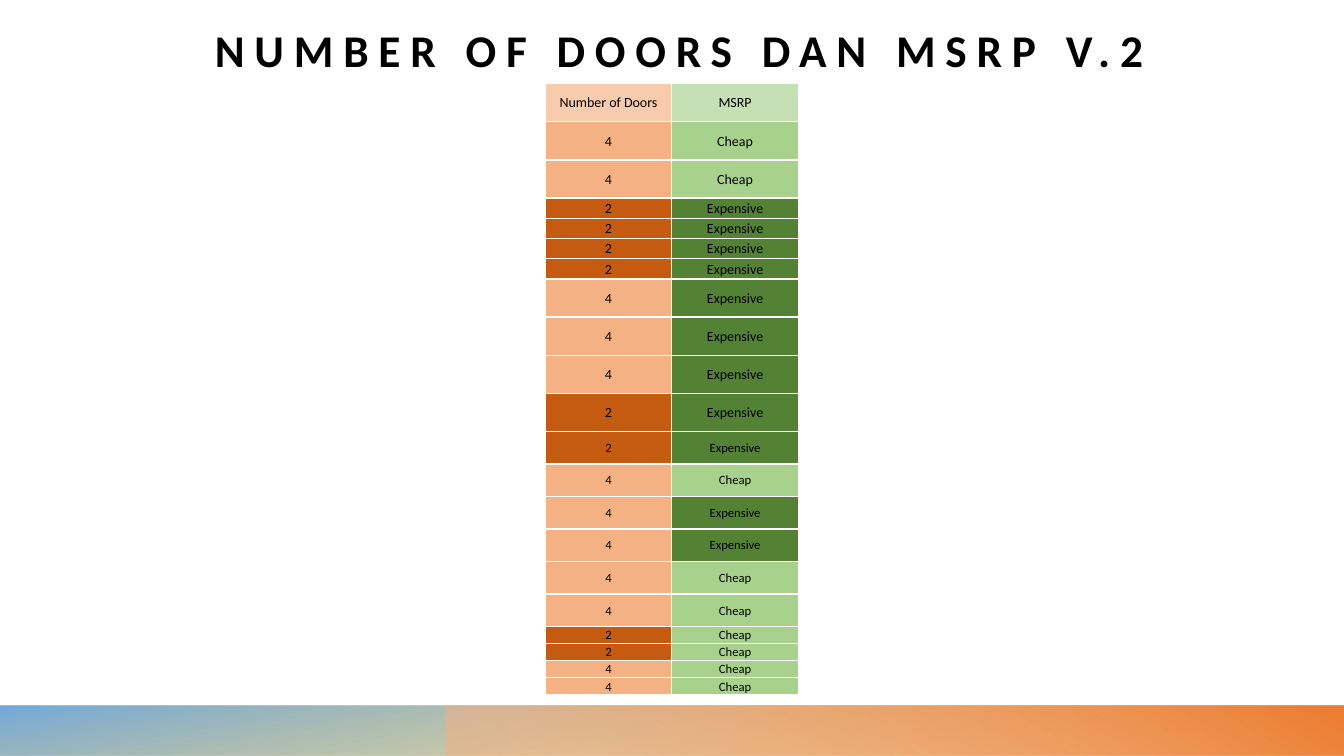
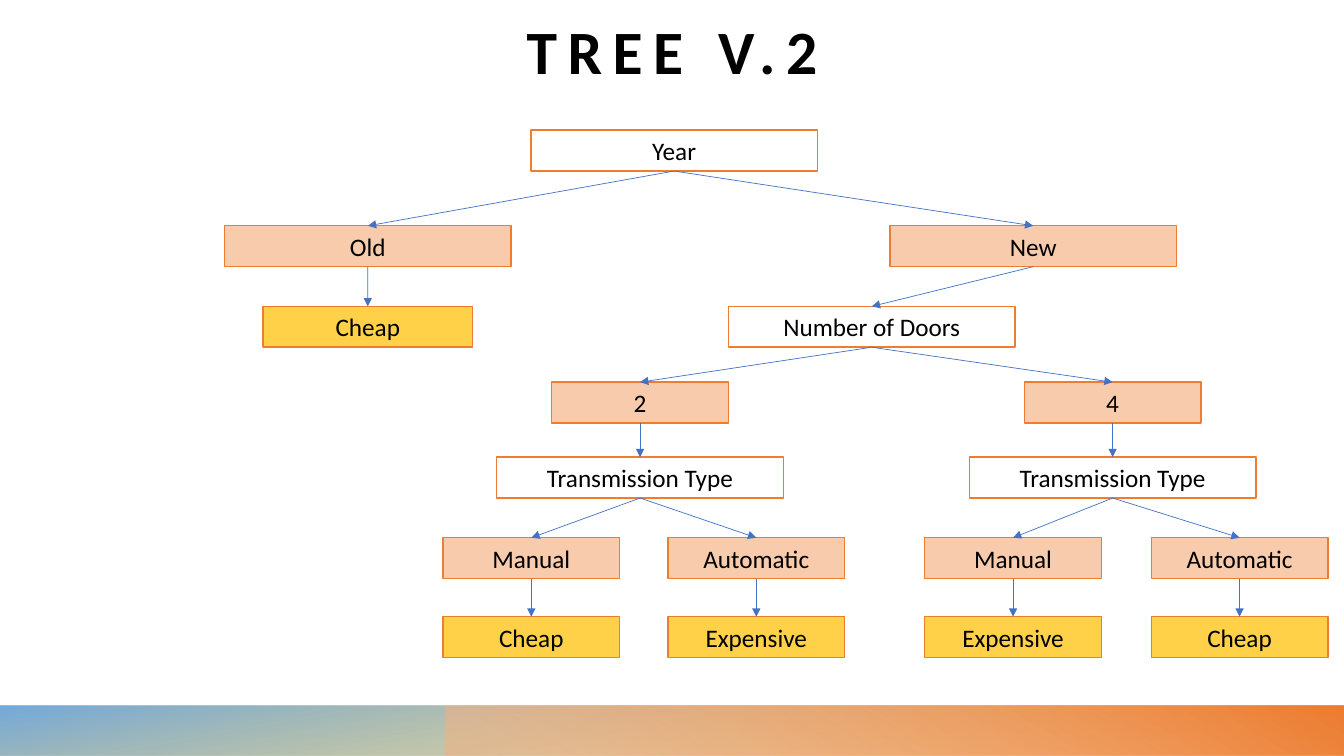
import dataclasses
import enum

import lxml.etree
import pptx
import pptx.dml.color
import pptx.enum.shapes
import pptx.enum.text
import pptx.oxml.ns
import pptx.util

Cm = pptx.util.Cm
Pt = pptx.util.Pt
RGBColor = pptx.dml.color.RGBColor
Anchor = pptx.enum.text.MSO_ANCHOR
qn = pptx.oxml.ns.qn

BLACK = RGBColor(0x00, 0x00, 0x00)
WHITE = RGBColor(0xFF, 0xFF, 0xFF)
ORANGE = RGBColor(0xED, 0x7D, 0x31)
ORANGE_PALE = RGBColor(0xF8, 0xCB, 0xAD)
ORANGE_LIGHT = RGBColor(0xF4, 0xB1, 0x83)
ORANGE_DARK = RGBColor(0xC5, 0x5A, 0x11)
GREEN_PALE = RGBColor(0xC5, 0xE0, 0xB4)
GREEN_LIGHT = RGBColor(0xA9, 0xD1, 0x8E)
GREEN_DARK = RGBColor(0x54, 0x82, 0x35)
YELLOW = RGBColor(0xFF, 0xD1, 0x49)
GOLD = RGBColor(0xCF, 0x9B, 0x00)
BLUE_LIGHT = RGBColor(0x5B, 0x9B, 0xD5)
BLUE = RGBColor(0x44, 0x72, 0xC4)

FONT = "Calibri"
SLIDE_WIDTH, SLIDE_HEIGHT = 33.87, 19.05
BAND_HEIGHT = 1.27


@dataclasses.dataclass(frozen=True)
class Stop:
    position: int
    color: RGBColor
    opacity: int


@dataclasses.dataclass(frozen=True)
class Band:
    left: float
    angle: int
    stops: tuple[Stop, ...]


@dataclasses.dataclass(frozen=True)
class Title:
    text: str
    left: float
    top: float
    width: float
    height: float
    size: float
    spacing: float
    anchor: Anchor


@dataclasses.dataclass(frozen=True)
class Row:
    doors: str
    price: str
    height: float


class Kind(enum.Enum):
    ATTRIBUTE = "attribute"
    VALUE = "value"
    OUTCOME = "outcome"


@dataclasses.dataclass(frozen=True)
class Node:
    text: str
    kind: Kind
    center: float
    width: float
    children: tuple["Node", ...] = ()


BANDS = (
    Band(0, 260, (Stop(14, GOLD, 28), Stop(100, BLUE_LIGHT, 85))),
    Band(11.22, 300, (Stop(9, ORANGE_LIGHT, 55), Stop(99, ORANGE, 100))),
)

TABLE_LEFT, TABLE_TOP, COLUMN_WIDTH = 13.74, 2.11, 3.19
CELL_FILLS = {
    "Number of Doors": ORANGE_PALE,
    "MSRP": GREEN_PALE,
    "4": ORANGE_LIGHT,
    "2": ORANGE_DARK,
    "Cheap": GREEN_LIGHT,
    "Expensive": GREEN_DARK,
}
UPPER_ROWS = [
    Row("Number of Doors", "MSRP", 0.96),
    *[Row("4", "Cheap", 0.96)] * 2,
    *[Row("2", "Expensive", 0.51)] * 4,
    *[Row("4", "Expensive", 0.96)] * 3,
    Row("2", "Expensive", 0.96),
]
LOWER_ROWS = [
    Row("2", "Expensive", 0.82),
    Row("4", "Cheap", 0.82),
    *[Row("4", "Expensive", 0.82)] * 2,
    *[Row("4", "Cheap", 0.82)] * 2,
    *[Row("2", "Cheap", 0.43)] * 2,
    *[Row("4", "Cheap", 0.43)] * 2,
]

WIDE, MEDIUM, NARROW = 7.22, 5.28, 4.45
NODE_HEIGHT = 1.03
LEVEL_TOPS = (3.28, 5.69, 7.72, 9.63, 11.52, 13.55, 15.54)
NODE_FILLS = {Kind.ATTRIBUTE: WHITE, Kind.VALUE: ORANGE_PALE, Kind.OUTCOME: YELLOW}


def door_branch(doors: str, center: float, manual: tuple[str, float],
                automatic: tuple[str, float]) -> Node:
    transmissions = tuple(
        Node(name, Kind.VALUE, middle, NARROW,
             (Node(outcome, Kind.OUTCOME, middle, NARROW),))
        for name, (outcome, middle) in (("Manual", manual), ("Automatic", automatic))
    )
    question = Node("Transmission Type", Kind.ATTRIBUTE, center, WIDE, transmissions)
    return Node(doors, Kind.VALUE, center, NARROW, (question,))


DOORS = Node("Number of Doors", Kind.ATTRIBUTE, 21.97, WIDE, (
    door_branch("2", 16.13, ("Cheap", 13.39), ("Expensive", 19.06)),
    door_branch("4", 28.04, ("Expensive", 25.53), ("Cheap", 31.24)),
))
TREE = Node("Year", Kind.ATTRIBUTE, 16.99, WIDE, (
    Node("Old", Kind.VALUE, 9.27, WIDE, (Node("Cheap", Kind.OUTCOME, 9.27, MEDIUM),)),
    Node("New", Kind.VALUE, 26.04, WIDE, (DOORS,)),
))


def style_paragraph(para, size: float, bold: bool = False) -> None:
    para.alignment = pptx.enum.text.PP_ALIGN.CENTER
    para.font.name = FONT
    para.font.size = Pt(size)
    para.font.bold = bold
    para.font.color.rgb = BLACK


def add_rectangle(page, left: float, top: float, width: float, height: float):
    box = page.shapes.add_shape(pptx.enum.shapes.MSO_SHAPE.RECTANGLE,
                                Cm(left), Cm(top), Cm(width), Cm(height))
    box.shadow.inherit = False
    return box


def add_band(page, band: Band):
    box = add_rectangle(page, band.left, SLIDE_HEIGHT - BAND_HEIGHT,
                        SLIDE_WIDTH - band.left, BAND_HEIGHT)
    box.line.fill.background()
    box.fill.gradient()
    gradient = box.element.spPr.find(qn("a:gradFill"))
    stop_list = gradient.find(qn("a:gsLst"))
    for old_stop in list(stop_list):
        stop_list.remove(old_stop)
    for stop in band.stops:
        entry = lxml.etree.SubElement(stop_list, qn("a:gs"), pos=str(stop.position * 1000))
        color = lxml.etree.SubElement(entry, qn("a:srgbClr"), val=str(stop.color))
        lxml.etree.SubElement(color, qn("a:alpha"), val=str(stop.opacity * 1000))
    direction = gradient.find(qn("a:lin"))
    direction.set("ang", str(band.angle * 60000))
    direction.set("scaled", "0")
    return box


def add_bands_to_master(deck, page) -> None:
    master_tree = deck.slide_master.shapes.element
    for index, band in enumerate(BANDS):
        master_tree.insert(2 + index, add_band(page, band).element)


def add_page(deck, title: Title):
    page = deck.slides.add_slide(deck.slide_layouts.get_by_name("Title Only"))
    box = page.shapes.title
    box.left, box.top = Cm(title.left), Cm(title.top)
    box.width, box.height = Cm(title.width), Cm(title.height)
    frame = box.text_frame
    frame.text = title.text
    frame.word_wrap = True
    frame.auto_size = pptx.enum.text.MSO_AUTO_SIZE.NONE
    frame.vertical_anchor = title.anchor
    frame.margin_left = frame.margin_right = frame.margin_top = frame.margin_bottom = 0
    style_paragraph(frame.paragraphs[0], title.size, bold=True)
    for properties in box.element.iter(qn("a:defRPr")):
        properties.set("spc", str(round(title.spacing * 100)))
    return page


def style_cell(cell, text: str, size: float) -> None:
    cell.text = text
    cell.vertical_anchor = Anchor.MIDDLE
    cell.margin_left = cell.margin_right = cell.margin_top = Cm(0.02)
    cell.margin_bottom = 0
    style_paragraph(cell.text_frame.paragraphs[0], size)
    properties = cell.fill and cell.text_frame.paragraphs[0] and cell.text_frame
    properties = properties.element if hasattr(properties, "element") else None
    cell.fill.solid()
    cell.fill.fore_color.rgb = CELL_FILLS[text]


def add_cell_borders(frame) -> None:
    for properties in frame.element.iter(qn("a:tcPr")):
        for index, side in enumerate(("a:lnL", "a:lnR", "a:lnT", "a:lnB")):
            border = lxml.etree.Element(qn(side), w=str(Pt(1)))
            fill = lxml.etree.SubElement(border, qn("a:solidFill"))
            lxml.etree.SubElement(fill, qn("a:srgbClr"), val=str(WHITE))
            properties.insert(index, border)


def add_price_table(page, rows: list[Row], top: float, size: float) -> float:
    height = sum(row.height for row in rows)
    frame = page.shapes.add_table(len(rows), 2, Cm(TABLE_LEFT), Cm(top),
                                  Cm(2 * COLUMN_WIDTH), Cm(height))
    table = frame.table
    table.first_row = table.horz_banding = False
    for column in table.columns:
        column.width = Cm(COLUMN_WIDTH)
    for index, row in enumerate(rows):
        table.rows[index].height = Cm(row.height)
        for cell, text in zip(table.rows[index].cells, (row.doors, row.price)):
            style_cell(cell, text, size)
    add_cell_borders(frame)
    return top + height


def add_arrow(page, parent, child) -> None:
    arrow = page.shapes.add_connector(pptx.enum.shapes.MSO_CONNECTOR.STRAIGHT, 0, 0, 0, 0)
    arrow.begin_connect(parent, 2)
    arrow.end_connect(child, 0)
    arrow.line.color.rgb = BLUE
    arrow.line.width = Pt(0.5)
    lxml.etree.SubElement(arrow.line.fill and arrow.element.spPr.find(qn("a:ln")),
                          qn("a:tailEnd"), type="triangle")
    lxml.etree.SubElement(arrow.element.spPr, qn("a:effectLst"))


def add_node(page, node: Node, level: int = 0):
    box = add_rectangle(page, node.center - node.width / 2, LEVEL_TOPS[level],
                        node.width, NODE_HEIGHT)
    box.fill.solid()
    box.fill.fore_color.rgb = NODE_FILLS[node.kind]
    box.line.color.rgb = ORANGE
    box.line.width = Pt(1)
    box.text_frame.text = node.text
    box.text_frame.word_wrap = True
    style_paragraph(box.text_frame.paragraphs[0], 18)
    for child in node.children:
        add_arrow(page, box, add_node(page, child, level + 1))
    return box


def main() -> None:
    deck = pptx.Presentation()
    deck.slide_width, deck.slide_height = Cm(SLIDE_WIDTH), Cm(SLIDE_HEIGHT)

    table_page = add_page(deck, Title("NUMBER OF DOORS DAN MSRP V.2", 2.9, -0.03, 28.45, 1.96,
                                      32.4, 7, Anchor.BOTTOM))
    add_bands_to_master(deck, table_page)
    lower_top = add_price_table(table_page, UPPER_ROWS, TABLE_TOP, 10)
    add_price_table(table_page, LOWER_ROWS, lower_top, 9)

    tree_page = add_page(deck, Title("TREE V.2", 4.24, 0.05, 25.4, 2.41,
                                     44, 7.5, Anchor.MIDDLE))
    add_node(tree_page, TREE)

    deck.save("out.pptx")


if __name__ == "__main__":
    main()
